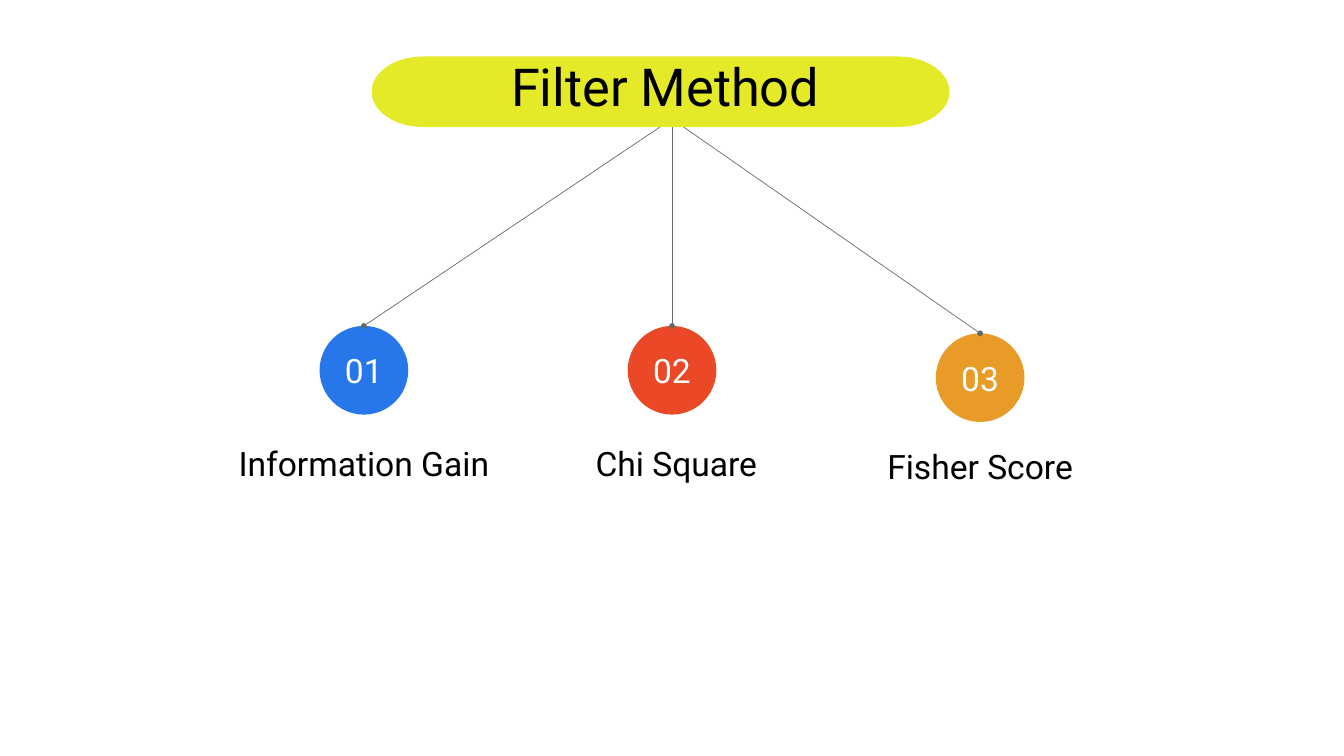
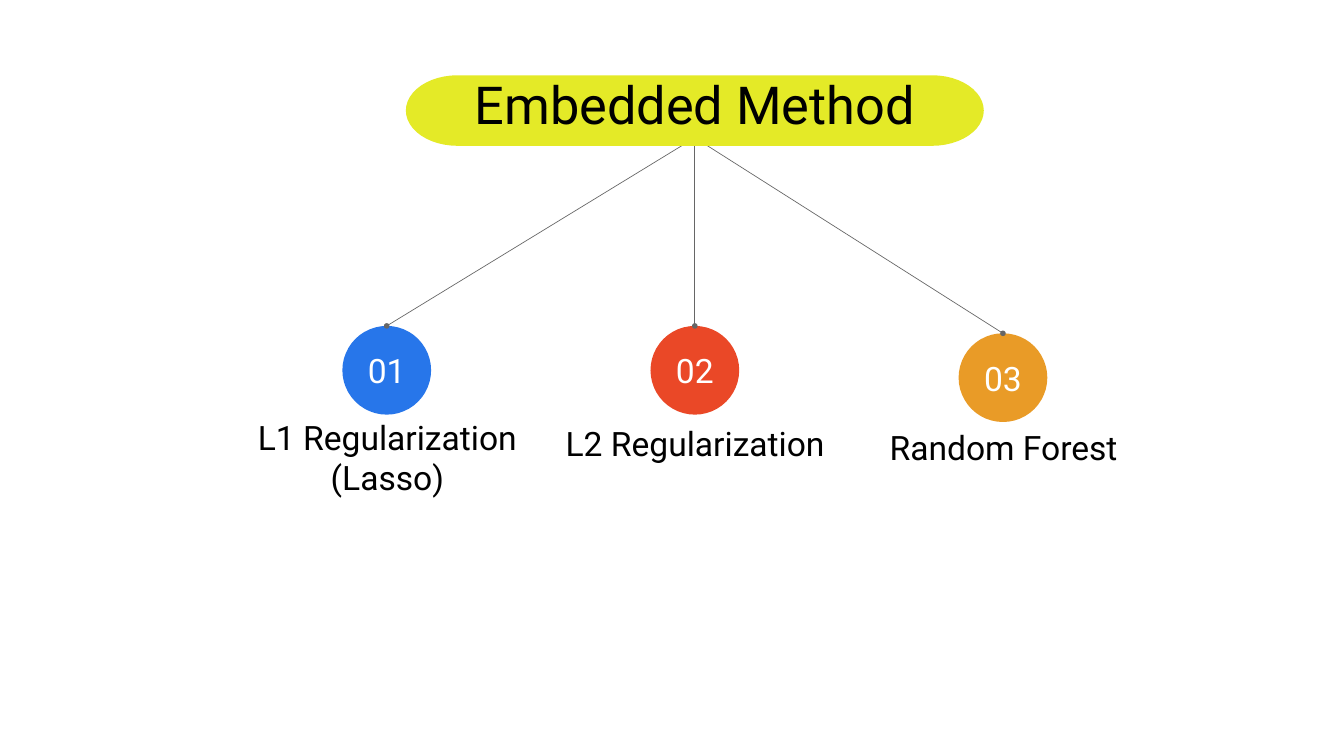
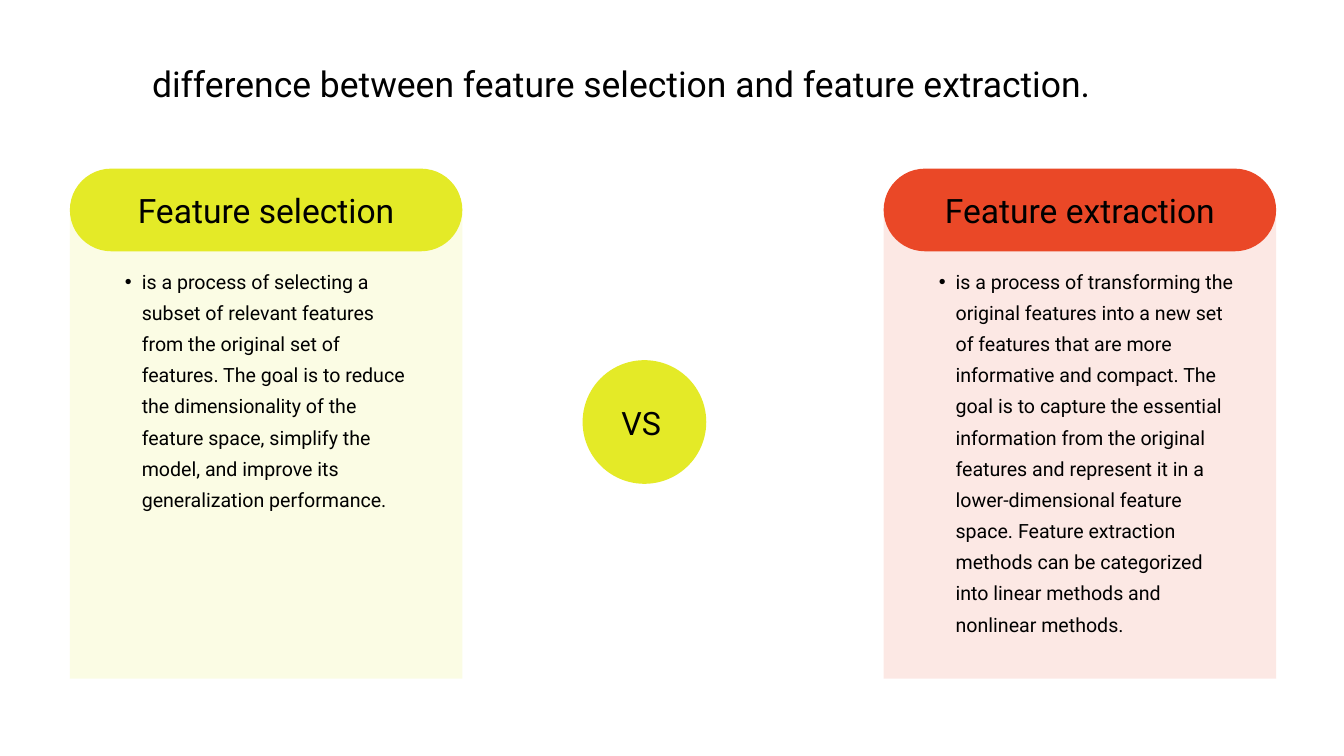
"""Build three slides on feature selection methods and feature extraction."""
from math import cos, pi, sin

from lxml.etree import SubElement
from pptx import Presentation
from pptx.dml.color import RGBColor
from pptx.enum.shapes import MSO_CONNECTOR, MSO_SHAPE
from pptx.enum.text import MSO_ANCHOR, MSO_AUTO_SIZE, PP_ALIGN
from pptx.oxml.ns import qn
from pptx.util import Inches, Pt

FONT = "Roboto"
BLACK = RGBColor(0x00, 0x00, 0x00)
WHITE = RGBColor(0xFF, 0xFF, 0xFF)
GREY = RGBColor(0x66, 0x66, 0x66)
YELLOW = RGBColor(0xE4, 0xEA, 0x27)
RED = RGBColor(0xEA, 0x48, 0x27)
BLUE = RGBColor(0x27, 0x76, 0xEA)
ORANGE = RGBColor(0xE9, 0x9B, 0x27)

CIRCLE = 1.32
BRANCH_GAP = 4.585
PILL_WIDTH, PILL_HEIGHT, PILL_CURVE = 8.6, 1.05, 0.77
ARC_STEPS = 24


def paint(shape, color):
    """Give a shape a plain fill without line or shadow."""
    shape.shadow.inherit = False
    shape.fill.solid()
    shape.fill.fore_color.rgb = color
    shape.line.fill.background()


def write(shape, text, size, spacing, color=BLACK, align=PP_ALIGN.CENTER,
          anchor=MSO_ANCHOR.TOP):
    """Put one formatted paragraph into a shape and return it."""
    frame = shape.text_frame
    frame.text = text
    frame.word_wrap = True
    frame.auto_size = MSO_AUTO_SIZE.NONE
    frame.vertical_anchor = anchor
    frame.margin_left = frame.margin_right = 0
    frame.margin_top = frame.margin_bottom = 0
    para = frame.paragraphs[0]
    para.alignment = align
    para.line_spacing = Pt(spacing)
    para.space_before = Pt(0)
    para.font.name = FONT
    para.font.size = Pt(size)
    para.font.color.rgb = color
    return para


deck = Presentation()
deck.slide_width = Inches(20)
deck.slide_height = Inches(11.25)
title_only, two_content = deck.slide_layouts[5], deck.slide_layouts[3]

BRANCHES = [("01", BLUE, 4.85), ("02", RED, 4.85), ("03", ORANGE, 4.96)]
METHODS = [
    ("Filter Method", 10, 9.9, 0.8, 5.53,
     [("Information Gain", 3.39, 6.59), ("Chi Square", 8.04, 6.59),
      ("Fisher Score", 12.56, 6.63)]),
    ("Embedded Method", 10.34, 10.34, 1.08, 6.04,
     [("L1 Regularization (Lasso)", 3.74, 6.2), ("L2 Regularization", 8.32, 6.3),
      ("Random Forest", 12.91, 6.35)]),
]

for name, center, title_center, title_top, pill_left, labels in METHODS:
    page = deck.slides.add_slide(title_only)
    for column, (number, color, top) in enumerate(BRANCHES):
        middle = center + (column - 1) * BRANCH_GAP
        circle = page.shapes.add_shape(
            MSO_SHAPE.OVAL, Inches(middle - CIRCLE / 2), Inches(top),
            Inches(CIRCLE), Inches(CIRCLE))
        paint(circle, color)
        write(circle, number, 36, 43.2, WHITE, anchor=MSO_ANCHOR.MIDDLE)

        text, left, label_top = labels[column]
        label = page.shapes.add_textbox(
            Inches(left), Inches(label_top), Inches(4.05), Inches(0.62))
        write(label, text, 36, 43.2)

        branch = page.shapes.add_connector(
            MSO_CONNECTOR.STRAIGHT, Inches(center), Inches(title_top + 0.97),
            Inches(middle), Inches(top))
        branch.end_connect(circle, 0)
        branch.line.color.rgb = GREY
        branch.line.width = Pt(0.75)
        SubElement(branch.line._get_or_add_ln(), qn("a:tailEnd"), type="oval")
        SubElement(branch.element.spPr, qn("a:effectLst"))

    outline = []
    for side, start in ((PILL_WIDTH - PILL_CURVE, -pi / 2), (PILL_CURVE, pi / 2)):
        for step in range(ARC_STEPS + 1):
            angle = start + pi * step / ARC_STEPS
            outline.append((
                Inches(pill_left + side + PILL_CURVE * cos(angle)),
                Inches(title_top + 0.04 + PILL_HEIGHT / 2 * (1 + sin(angle)))))
    builder = page.shapes.build_freeform(*outline[0])
    builder.add_line_segments(outline[1:], close=True)
    paint(builder.convert_to_shape(), YELLOW)

    title = page.shapes.title
    title.left, title.top = Inches(title_center - 8.9), Inches(title_top)
    title.width, title.height = Inches(17.8), Inches(0.97)
    write(title, name, 56, 67.2)
    page.shapes.element.append(title.element)

page = deck.slides.add_slide(two_content)
title = page.shapes.title
title.left, title.top = Inches(0.25), Inches(0.93)
title.width, title.height = Inches(18), Inches(0.63)
write(title, "difference between feature selection and feature extraction.", 38, 45.6)

COLUMNS = [
    (1.04, YELLOW, "Feature selection", 4.42,
     "is a process of selecting a subset of relevant features from the original set "
     "of features. The goal is to reduce the dimensionality of the feature space, "
     "simplify the model, and improve its generalization performance."),
    (13.15, RED, "Feature extraction", 4.7,
     "is a process of transforming the original features into a new set of features "
     "that are more informative and compact. The goal is to capture the essential "
     "information from the original features and represent it in a lower-dimensional "
     "feature space. Feature extraction methods can be categorized into linear "
     "methods and nonlinear methods."),
]
for index, (left, color, heading, body_width, text) in enumerate(COLUMNS, start=1):
    panel = page.shapes.add_shape(
        MSO_SHAPE.RECTANGLE, Inches(left), Inches(3.1), Inches(5.84), Inches(7))
    paint(panel, color)
    tint = panel.element.spPr.find(qn("a:solidFill")).find(qn("a:srgbClr"))
    SubElement(tint, qn("a:alpha"), val="12000")

    pill = page.shapes.add_shape(
        MSO_SHAPE.ROUNDED_RECTANGLE, Inches(left), Inches(2.51),
        Inches(5.84), Inches(1.23))
    pill.adjustments[0] = 0.5
    paint(pill, color)
    write(pill, heading, 36, 43.2, anchor=MSO_ANCHOR.MIDDLE)

    body = page.placeholders[index]
    body.left, body.top = Inches(left + 0.57), Inches(3.9)
    body.width, body.height = Inches(body_width), Inches(5.94)
    para = write(body, text, 21, 33.4, align=PP_ALIGN.LEFT)
    indents = para._p.get_or_add_pPr()
    indents.set("marL", str(Inches(0.5)))
    indents.set("indent", str(Inches(-0.25)))
    page.shapes.element.append(body.element)

versus = page.shapes.add_shape(
    MSO_SHAPE.OVAL, Inches(8.67), Inches(5.36), Inches(1.84), Inches(1.84))
paint(versus, YELLOW)
write(versus, "VS", 34.5, 43.2, anchor=MSO_ANCHOR.MIDDLE)
versus.text_frame.margin_right = Inches(0.1)

deck.save("out.pptx")
